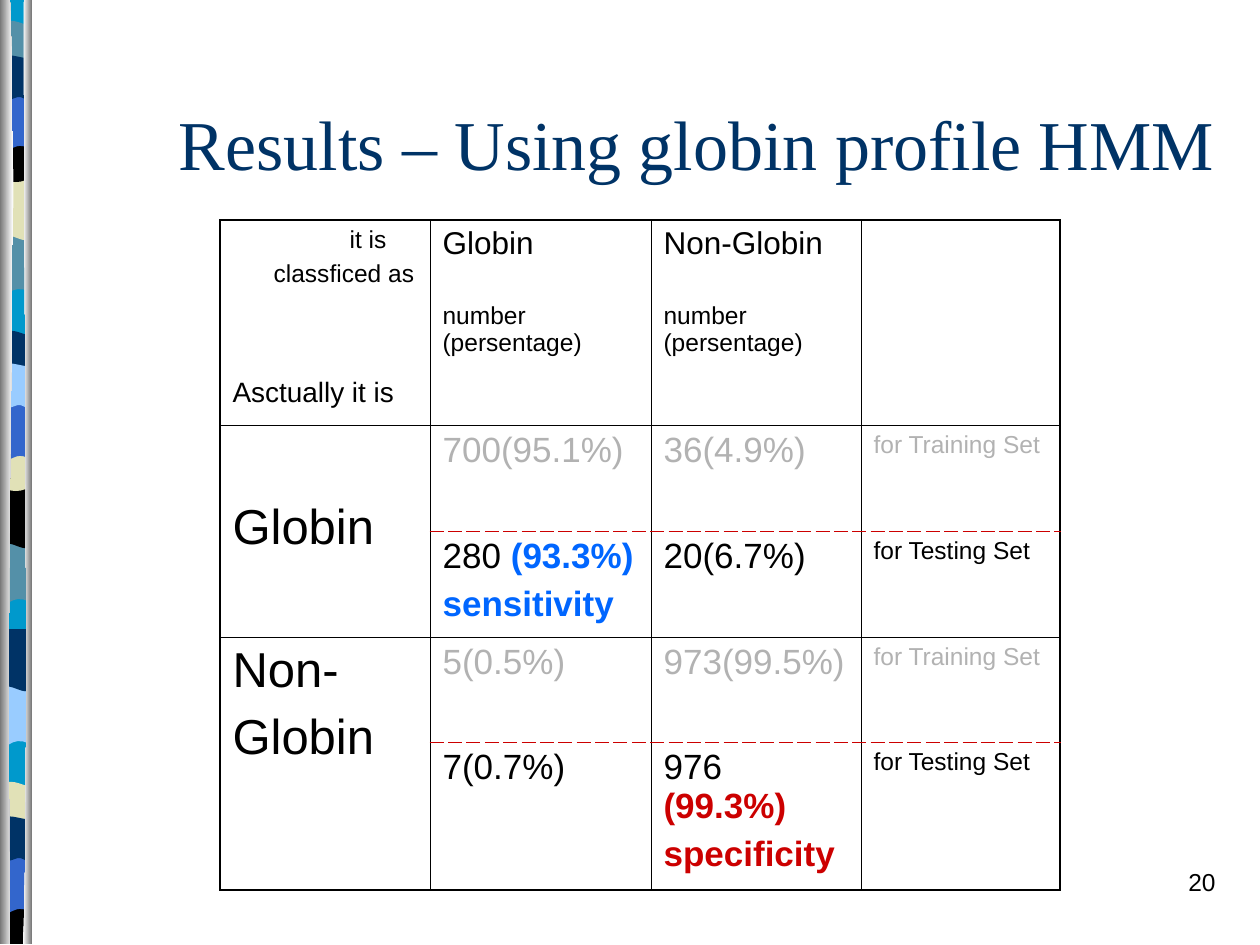
from lxml.etree import SubElement
from pptx import Presentation
from pptx.dml.color import RGBColor
from pptx.enum.shapes import MSO_SHAPE
from pptx.enum.text import MSO_ANCHOR, PP_ALIGN
from pptx.oxml.ns import qn
from pptx.util import Pt

SCALE = 914400 / 126
HUES = {
    "navy": "003366", "cyan": "0099CC", "teal": "5490A8", "sand": "E1E1B7",
    "black": "000000", "blue": "3366CC", "sky": "99CCFF", "grey": "767676",
    "white": "FFFFFF", "faint": "B2B2B2", "azure": "0066FF", "red": "CC0000",
}
FLAT = [(0, 0), (29, 0)]
DIP = [(0, 0), (18, 6), (24, 0), (29, 0)]
EDGES = {
    "swell": (FLAT, [(29, 59), (9, 49), (5, 69), (0, 59)]),
    "roll": (FLAT, [(29, 59), (25, 69), (9, 52), (0, 59)]),
    "hill": ([(0, 6), (2, 0), (6, 1), (11, 1), (16, 1), (25, 5), (29, 6)],
             [(29, 36), (25, 41), (5, 41), (0, 36)]),
    "bowl": (DIP, [(29, 40), (25, 48), (5, 48), (0, 40)]),
    "arch": (FLAT, [(29, 59), (25, 53), (23, 53), (18, 53), (14, 53), (5, 59), (0, 59)]),
    "wave": ([(0, 6), (4, 0), (20, 6), (25, 6), (29, 6), (29, 6), (29, 6)],
             [(29, 45), (28, 52), (23, 45), (18, 45), (14, 45), (4, 52), (0, 45)]),
    "cap": (DIP, [(29, 47), (0, 47)]),
}
BANDS = [
    ("swell", 233, "teal"), ("roll", 178, "sand"), ("hill", 20, "teal"),
    ("bowl", 136, "black"), ("arch", 93, "blue"), ("wave", 52, "navy"),
    ("swell", 543, "teal"), ("roll", 486, "black"), ("hill", 330, "navy"),
    ("bowl", 445, "sand"), ("arch", 403, "blue"), ("wave", 360, "sky"),
    ("swell", 685, "sky"), ("roll", 629, "navy"), ("hill", 781, "sand"),
    ("cap", 897, "black"), ("arch", 856, "blue"), ("wave", 813, "navy"),
]
THIN, THICK = ("black", 0.45, "solid"), ("black", 1.08, "solid")
DASH = ("red", 0.45, "dash")


def px(num):
    return round(num * SCALE)


def tint(name):
    return RGBColor.from_string(HUES[name])


def apply(item, vals):
    for key, val in vals.items():
        setattr(item, key, val)


def curve(pts, steps=8):
    if len(pts) == 2:
        return pts
    out = [pts[0]]
    for i in range(0, len(pts) - 1, 3):
        a, b, c, d = pts[i:i + 4]
        for n in range(1, steps + 1):
            t = n / steps
            u = 1 - t
            out.append(tuple(u**3 * p + 3 * u * u * t * q + 3 * u * t * t * r + t**3 * s
                             for p, q, r, s in zip(a, b, c, d)))
    return out


def plain(shape):
    shape.shadow.inherit = False
    shape.line.fill.background()
    return shape


def trace(slide, left, top, pts):
    pts = [(px(left + x), px(top + y)) for x, y in pts]
    pen = slide.shapes.build_freeform(*pts[0])
    pen.add_line_segments(pts[1:], close=True)
    return plain(pen.convert_to_shape())


def paint(shape, hue):
    shape.fill.solid()
    shape.fill.fore_color.rgb = tint(hue)


def shade(shape, hues):
    shape.fill.gradient()
    shape.fill.gradient_angle = 0
    for stop, hue, pos in zip(shape.fill.gradient_stops, hues, (0, 1)):
        stop.color.rgb = tint(hue)
        stop.position = pos


def spine(slide, left, top, wide, high):
    base = slide.shapes.add_shape(MSO_SHAPE.RECTANGLE, px(left + 1), px(top), px(29), px(high - 3))
    paint(plain(base), "cyan")
    for kind, drop, hue in BANDS:
        roof, floor = EDGES[kind]
        paint(trace(slide, left + 1, top + drop, curve(roof) + curve(floor)), hue)
    end = high - 1
    rim = curve([(10, 0), (19, 273), (5, 373), (10, end)], 24)
    shade(trace(slide, left, top, rim + [(0, end), (0, 0)]), ("grey", "white"))
    rim = curve([(24, 0), (23, 158), (30, 814), (23, end)], 24)
    shade(trace(slide, left, top, rim + [(wide, end), (wide, 0)]), ("white", "grey"))


def write(frame, paras, face="Arial", align=PP_ALIGN.LEFT):
    apply(frame, {"word_wrap": True, "margin_left": px(12.6), "margin_right": px(12.6),
                  "margin_top": px(6.3), "margin_bottom": px(6.3)})
    for i, (size, gap, inset, runs) in enumerate(paras):
        para = frame.add_paragraph() if i else frame.paragraphs[0]
        apply(para, {"alignment": align, "space_before": Pt(gap)})
        if inset:
            para._p.get_or_add_pPr().set("marL", str(px(inset)))
        for text, hue, bold in runs:
            run = para.add_run()
            run.text = text
            apply(run.font, {"size": Pt(size), "name": face, "bold": bold})
            run.font.color.rgb = tint(hue)


def line(text, size, gap=0, inset=0, hue="black", bold=False):
    return size, gap, inset, [(text, hue, bold)]


def label(slide, box, para, face, align, anchor):
    frame = slide.shapes.add_textbox(*map(px, box)).text_frame
    frame.vertical_anchor = anchor
    write(frame, [para], face, align)


def border(cell, sides):
    props = cell._tc.get_or_add_tcPr()
    for side, (hue, wide, dash) in zip("LRTB", sides):
        edge = SubElement(props, qn("a:ln" + side), w=str(Pt(wide)))
        fill = SubElement(edge, qn("a:solidFill"))
        SubElement(fill, qn("a:srgbClr"), val=HUES[hue])
        SubElement(edge, qn("a:prstDash"), val=dash)


def mixed(count, share, word, hue):
    return [(20, 0, 0, [(count, "black", False), (share, hue, True)]),
            line(word, 20, 5, 0, hue, True)]


def head(name):
    return [line(name, 18), line("number (persentage)", 14, 23.1)]


def train(*texts):
    return [[line(t, s, hue="faint")] for t, s in zip((*texts, "for Training Set"), (20, 20, 14))]


def grid(slide, left, top, cols, rows):
    test = [line("for Testing Set", 14)]
    cells = [
        [[line("it is", 14, inset=117), line("classficed as", 14, 3.5, 41),
          line("Asctually it is", 16, 51.6)], head("Globin"), head("Non-Globin"), []],
        [[line("Globin", 28)], *train("700(95.1%)", "36(4.9%)")],
        [[], mixed("280 ", "(93.3%)", "sensitivity", "azure"), [line("20(6.7%)", 20)], test],
        [[line("Non-", 28), line("Globin", 28, 7)], *train("5(0.5%)", "973(99.5%)")],
        [[], [line("7(0.7%)", 20)], mixed("976 ", "(99.3%)", "specificity", "red"), test],
    ]
    box = map(px, (left, top, sum(cols), sum(rows)))
    table = slide.shapes.add_table(len(rows), len(cols), *box).table
    apply(table, {"first_row": False, "horz_banding": False})
    for col, wide in zip(table.columns, cols):
        col.width = px(wide)
    for row, high in zip(table.rows, rows):
        row.height = px(high)
    for r, items in enumerate(cells):
        for c, paras in enumerate(items):
            cell = table.cell(r, c)
            roof = THICK if r == 0 else DASH if c and r in (2, 4) else THIN
            floor = THICK if r == 4 else DASH if c and r in (1, 3) else THIN
            if c == 0 and r == 3:
                floor = THICK
            border(cell, (THIN if c else THICK, THICK if c == 3 else THIN, roof, floor))
            cell.fill.background()
            if paras:
                write(cell.text_frame, paras)
                apply(cell, {"margin_left": px(12.6), "margin_right": px(12.6),
                             "margin_top": px(6.3), "margin_bottom": px(6.3)})
    for r in (1, 3):
        table.cell(r, 0).merge(table.cell(r + 1, 0))
    table.cell(1, 0).margin_top = px(75)


def main():
    deck = Presentation()
    apply(deck, {"slide_width": px(1260), "slide_height": px(945)})
    slide = deck.slides.add_slide(deck.slide_layouts[6])
    spine(slide, 0, 0, 32, 945)
    label(slide, (161, 63, 1071, 158), line("Results – Using globin profile HMM", 40, hue="navy"),
          "Times New Roman", PP_ALIGN.CENTER, MSO_ANCHOR.MIDDLE)
    grid(slide, 220, 220, (210, 221, 210, 199), (205, 106, 106, 105, 148))
    label(slide, (966, 861, 262, 63), line("20", 14), "Arial", PP_ALIGN.RIGHT, MSO_ANCHOR.TOP)
    deck.save("out.pptx")


if __name__ == "__main__":
    main()
